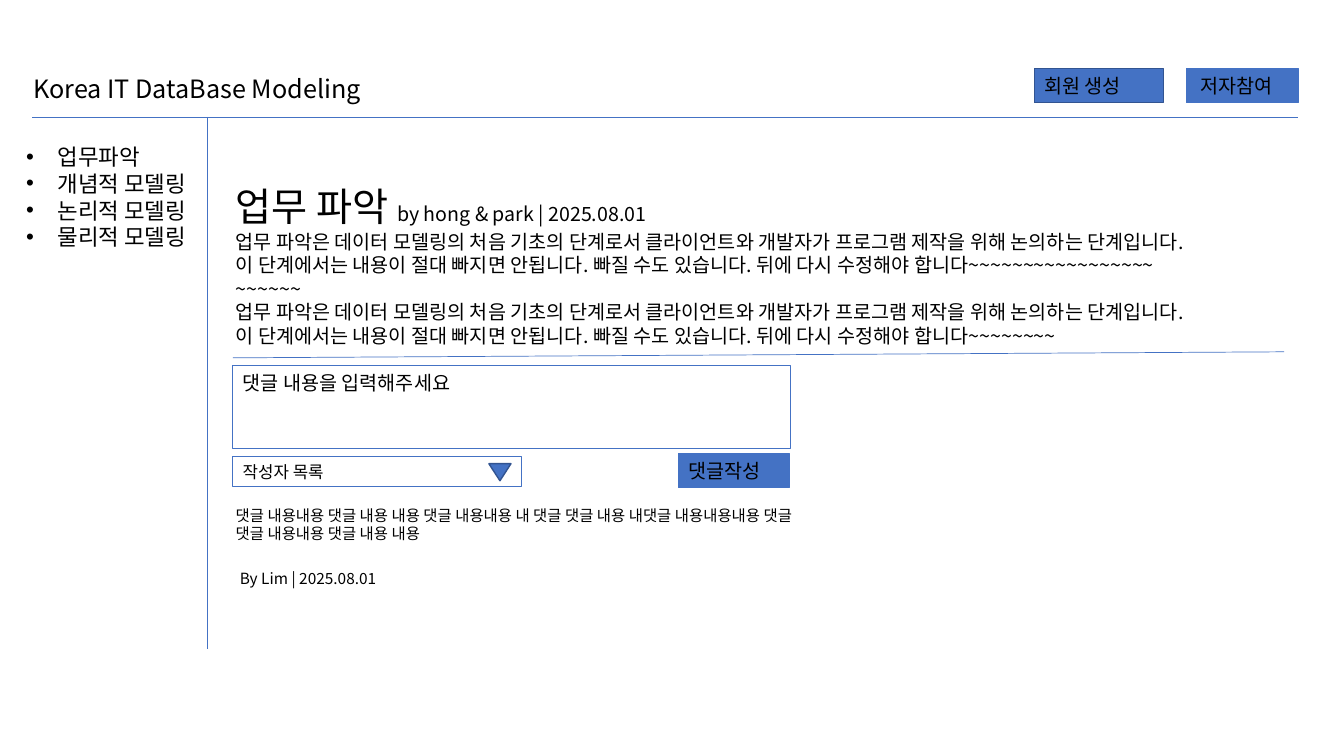
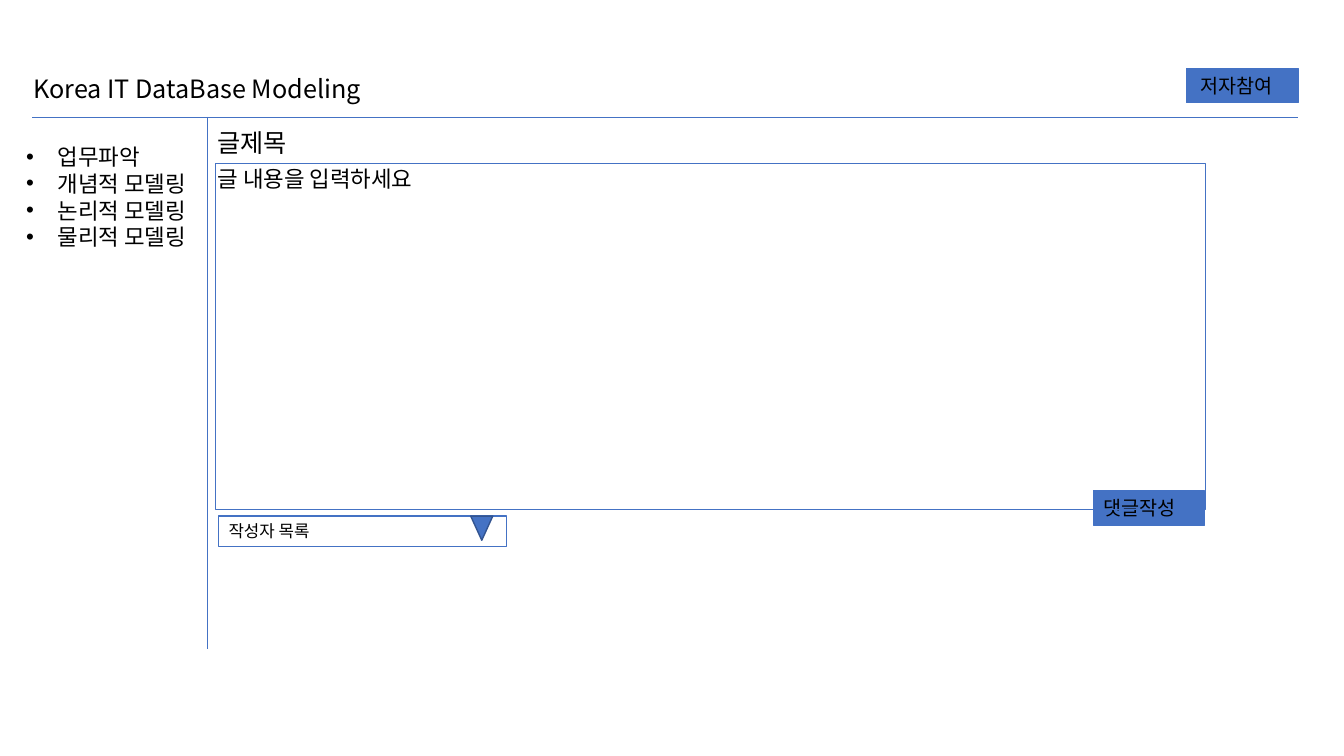
"""Build two wireframe slides for a data modelling course site."""
from dataclasses import dataclass
from typing import Optional

from lxml import etree
from pptx import Presentation
from pptx.dml.color import RGBColor
from pptx.enum.shapes import MSO_CONNECTOR, MSO_SHAPE
from pptx.enum.text import MSO_ANCHOR, PP_ALIGN
from pptx.oxml.ns import qn
from pptx.shapes.autoshape import Shape
from pptx.slide import Slide
from pptx.util import Pt

BLUE = RGBColor(0x44, 0x72, 0xC4)
DARK_BLUE = RGBColor(0x32, 0x54, 0x91)
BLACK = RGBColor(0, 0, 0)
FONT = "Noto Sans CJK KR"
RECTANGLE = MSO_SHAPE.RECTANGLE
TRIANGLE = MSO_SHAPE.ISOSCELES_TRIANGLE
STRAIGHT = MSO_CONNECTOR.STRAIGHT
LEFT = PP_ALIGN.LEFT
TOP = MSO_ANCHOR.TOP
MIDDLE = MSO_ANCHOR.MIDDLE

BULLET_INDENT = 22.5
BUTTON_HEIGHT = 24.5
SELECT_WIDTH, SELECT_HEIGHT = 205.9, 21.6
ARROW_WIDTH = 15.8
HEADER_TOP, RULE_TOP = 49, 83.5
MENU = ["업무파악", "개념적 모델링", "논리적 모델링", "물리적 모델링"]
STAGE = "업무 파악은 데이터 모델링의 처음 기초의 단계로서 클라이언트와 개발자가 프로그램 제작을 위해 논의하는 단계입니다."
WARNING = "이 단계에서는 내용이 절대 빠지면 안됩니다. 빠질 수도 있습니다. 뒤에 다시 수정해야 합니다"


@dataclass(frozen=True)
class Box:
    """Position and size in points."""
    left: float
    top: float
    width: float
    height: float

    def lengths(self) -> tuple[Pt, Pt, Pt, Pt]:
        """Return the box as slide lengths."""
        return Pt(self.left), Pt(self.top), Pt(self.width), Pt(self.height)


@dataclass(frozen=True)
class Run:
    """Text of one size."""
    text: str
    size: float


@dataclass(frozen=True)
class Button:
    """Filled button with its label."""
    label: str
    left: float
    top: float
    width: float
    outline: RGBColor = BLUE


AUTHOR_BUTTON = Button(" 저자참여", 847.4, HEADER_TOP, 79.9)
MEMBER_BUTTON = Button("회원 생성", 738.7, HEADER_TOP, 92.2, DARK_BLUE)


def write(shape: Shape, paragraphs: list[list[Run]], anchor: MSO_ANCHOR = TOP,
          bulleted: bool = False) -> None:
    """Fill a shape with left-aligned paragraphs."""
    frame = shape.text_frame
    frame.word_wrap = True
    frame.vertical_anchor = anchor
    for index, runs in enumerate(paragraphs):
        paragraph = frame.add_paragraph() if index else frame.paragraphs[0]
        paragraph.alignment = LEFT
        if bulleted:
            properties = paragraph._p.get_or_add_pPr()
            properties.set("marL", str(Pt(BULLET_INDENT)))
            properties.set("indent", str(-Pt(BULLET_INDENT)))
            etree.SubElement(properties, qn("a:buFont"), typeface="Arial")
            etree.SubElement(properties, qn("a:buChar"), char="•")
        for item in runs:
            run = paragraph.add_run()
            run.text = item.text
            run.font.size = Pt(item.size)
            run.font.name = FONT
            run.font.color.rgb = BLACK
            etree.SubElement(run._r.get_or_add_rPr(), qn("a:ea"), typeface=FONT)


def add_text(slide: Slide, box: Box, paragraphs: list[list[Run]], bulleted: bool = False) -> None:
    """Add a text box."""
    write(slide.shapes.add_textbox(*box.lengths()), paragraphs, bulleted=bulleted)


def add_line(slide: Slide, start: tuple[float, float], end: tuple[float, float]) -> None:
    """Add a thin blue line."""
    line = slide.shapes.add_connector(STRAIGHT, *map(Pt, start + end))
    line.line.color.rgb = BLUE
    line.line.width = Pt(0.5)
    etree.SubElement(line._element.spPr, qn("a:effectLst"))


def add_block(slide: Slide, box: Box, fill: Optional[RGBColor] = None, outline: RGBColor = BLUE,
              weight: float = 0.75, kind: MSO_SHAPE = RECTANGLE) -> Shape:
    """Add an outlined shape, filled if a colour is given."""
    shape = slide.shapes.add_shape(kind, *box.lengths())
    shape.shadow.inherit = False
    if fill is None:
        shape.fill.background()
    else:
        shape.fill.solid()
        shape.fill.fore_color.rgb = fill
    shape.line.color.rgb = outline
    shape.line.width = Pt(weight)
    return shape


def add_button(slide: Slide, button: Button) -> None:
    """Add a labelled button."""
    box = Box(button.left, button.top, button.width, BUTTON_HEIGHT)
    write(add_block(slide, box, BLUE, button.outline), [[Run(button.label, 14)]], MIDDLE)


def add_author_select(slide: Slide, left: float, top: float, arrow: Box) -> None:
    """Add the author list with its drop-down arrow."""
    box = Box(left, top, SELECT_WIDTH, SELECT_HEIGHT)
    write(add_block(slide, box), [[Run("작성자 목록", 12)]], MIDDLE)
    add_block(slide, arrow, BLUE, DARK_BLUE, 1, TRIANGLE).rotation = 180


def add_page(presentation: Presentation) -> Slide:
    """Add a slide with the shared header, menu and rules."""
    slide = presentation.slides.add_slide(presentation.slide_layouts[6])
    add_line(slide, (23, RULE_TOP), (927.4, RULE_TOP))
    add_line(slide, (148.3, RULE_TOP), (148.3, 463.7))
    add_text(slide, Box(16.6, HEADER_TOP, 300, 28.8), [[Run("Korea IT DataBase Modeling", 18)]])
    add_text(slide, Box(11.5, 98.6, 152.6, 85), [[Run(item, 16)] for item in MENU], bulleted=True)
    add_button(slide, AUTHOR_BUTTON)
    return slide


def build_article(presentation: Presentation) -> None:
    """Build the article page with its comments."""
    slide = add_page(presentation)
    body = [STAGE, WARNING + "~" * 17, "~" * 6, STAGE, WARNING + "~" * 8]
    heading = [Run("업무 파악 ", 28), Run("by hong & park | 2025.08.01", 14)]
    add_text(slide, Box(161.3, 126.7, 774.7, 143.3), [heading] + [[Run(line, 14)] for line in body])
    add_line(slide, (166.3, 255.6), (917.3, 251.3))
    add_text(slide, Box(166.3, 261.4, 180, 24.5), [[Run("댓글 내용을 입력해주세요", 14)]])
    add_block(slide, Box(166.3, 261.4, 398.2, 59))
    add_author_select(slide, 166.3, 326.2, Box(349.2, 331.2, ARROW_WIDTH, 12.2))
    comment = ["댓글 내용내용 댓글 내용 내용 댓글 내용내용 내 댓글 댓글 내용 내댓글 내용내용내용 댓글",
               "댓글 내용내용 댓글 내용 내용"]
    add_text(slide, Box(161.3, 357.8, 465, 33.8), [[Run(line, 11)] for line in comment])
    add_text(slide, Box(164.2, 403.2, 140, 20.9), [[Run("By Lim | 2025.08.01", 11)]])
    add_button(slide, Button("댓글작성", 484.6, 324, 79.2))
    add_button(slide, MEMBER_BUTTON)


def build_editor(presentation: Presentation) -> None:
    """Build the page for writing an article."""
    slide = add_page(presentation)
    add_author_select(slide, 156.2, 368.6, Box(336.2, 368.6, ARROW_WIDTH, 17.3))
    add_button(slide, Button("댓글작성", 781.2, 350.6, 79.2))
    add_text(slide, Box(148.3, 114.5, 180, 26.6), [[Run("글 내용을 입력하세요", 16)]])
    add_block(slide, Box(154.1, 116.6, 707, 247.7))
    add_text(slide, Box(148.3, 87.1, 80, 28.8), [[Run("글제목", 18)]])


def main() -> None:
    """Build and save the presentation."""
    presentation = Presentation()
    presentation.slide_width = Pt(960)
    presentation.slide_height = Pt(540)
    build_article(presentation)
    build_editor(presentation)
    presentation.save("out.pptx")


if __name__ == "__main__":
    main()
